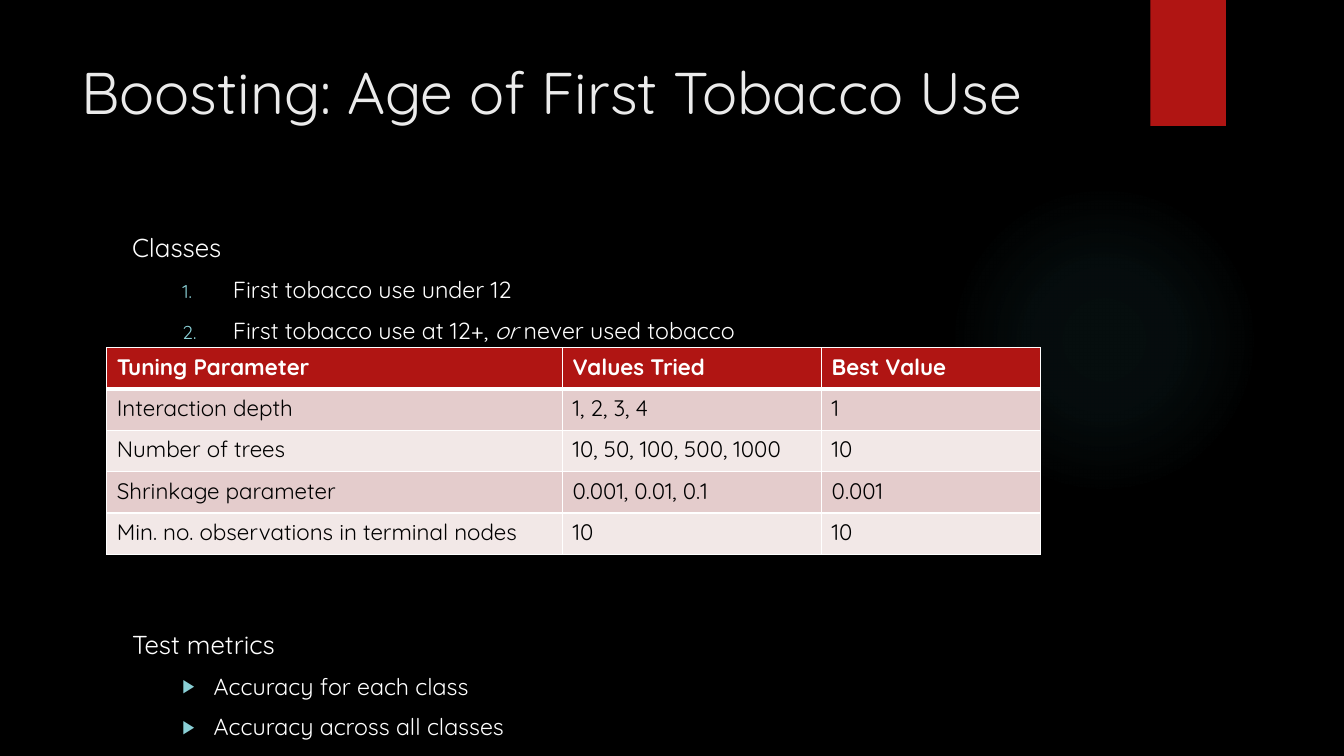
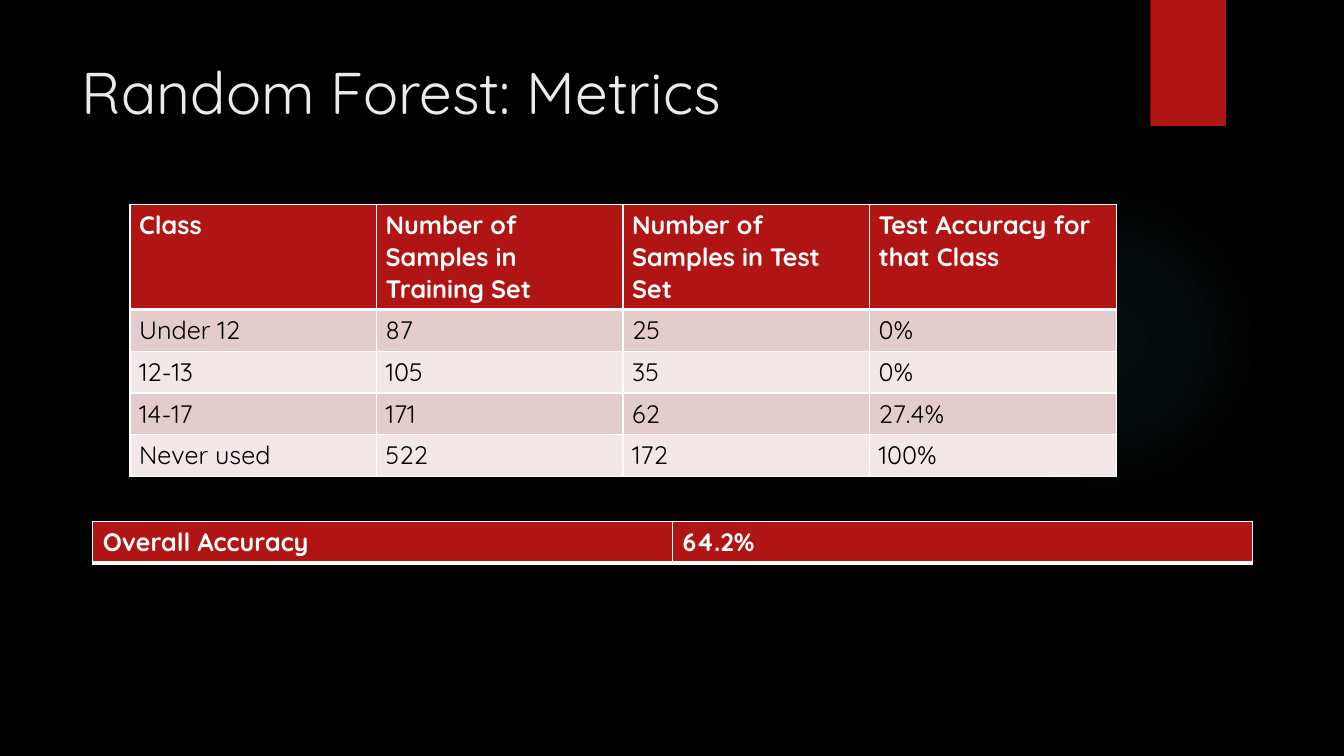
import dataclasses

import lxml.etree
import pptx
import pptx.dml.color
import pptx.enum.shapes
import pptx.enum.text
import pptx.oxml
import pptx.oxml.ns
import pptx.util

Inches = pptx.util.Inches
Pt = pptx.util.Pt
qn = pptx.oxml.ns.qn


@dataclasses.dataclass(frozen=True)
class Theme:
    font: str = "Quicksand"
    background: str = "000000"
    accent: str = "B01513"
    glow: str = "50B9C1"
    bullet: str = "8AD0D6"
    title: str = "EBEBEB"
    light: str = "FFFFFF"
    dark: str = "000000"
    stripes: tuple = ("E4CCCC", "F2E8E7")
    title_size: float = 42
    heading_size: float = 18.5
    item_size: float = 16.6
    small_table_size: float = 16
    table_size: float = 18
    paragraph_gap: float = 9
    table_gap: float = 203
    row_height: float = 0.41
    thin_border: float = 1
    thick_border: float = 3


THEME = Theme()
TITLE_BOX = (0.71, 0.5, 10.29, 1.53)
GLOW_BOX = (9.41, 1.83, 3.08, 3.08)
BAND_BOX = (11.41, 0, 0.75, 1.25)
NUMBER = "number"
ARROW = "arrow"


def color(value):
    return pptx.dml.color.RGBColor.from_string(value)


def add_element(parent, tag, **attributes):
    element = lxml.etree.SubElement(parent, qn(tag))
    for name, value in attributes.items():
        element.set(name, str(value))
    return element


def style_paragraph(para, size, text_color, bold=False):
    para.font.name = THEME.font
    para.font.size = Pt(size)
    para.font.bold = bold
    para.font.color.rgb = color(text_color)


def place(shape, box):
    shape.left, shape.top, shape.width, shape.height = map(Inches, box)


def add_plain_shape(page, kind, box, fill):
    shape = page.shapes.add_shape(kind, *map(Inches, box))
    shape.shadow.inherit = False
    shape.line.fill.background()
    shape.fill.solid()
    shape.fill.fore_color.rgb = color(fill)
    return shape


def make_glow(shape):
    """Replace the solid fill with a radial one that fades outwards."""
    solid = shape._element.spPr.find(qn("a:solidFill"))
    gradient = pptx.oxml.parse_xml(
        '<a:gradFill %s rotWithShape="1"/>' % pptx.oxml.ns.nsdecls("a"))
    stops = add_element(gradient, "a:gsLst")
    for position, opacity in ((0, 7), (36, 6), (69, 0)):
        stop = add_element(stops, "a:gs", pos=position * 1000)
        tint = add_element(stop, "a:srgbClr", val=THEME.glow)
        add_element(tint, "a:alpha", val=opacity * 1000)
    circle = add_element(gradient, "a:path", path="circle")
    add_element(circle, "a:fillToRect", l=50000, t=50000, r=50000, b=50000)
    solid.getparent().replace(solid, gradient)


def decorate_master(deck, page):
    """Draw the shared decoration on a page, then move it to the master."""
    master = deck.slide_master
    master.background.fill.solid()
    master.background.fill.fore_color.rgb = color(THEME.background)
    kinds = pptx.enum.shapes.MSO_SHAPE
    glow = add_plain_shape(page, kinds.OVAL, GLOW_BOX, THEME.glow)
    make_glow(glow)
    band = add_plain_shape(page, kinds.RECTANGLE, BAND_BOX, THEME.accent)
    for offset, shape in enumerate((glow, band)):
        master.shapes._spTree.insert(2 + offset, shape._element)


def prepare_frame(placeholder, box):
    place(placeholder, box)
    frame = placeholder.text_frame
    frame.word_wrap = True
    frame.auto_size = pptx.enum.text.MSO_AUTO_SIZE.NONE
    frame.vertical_anchor = pptx.enum.text.MSO_ANCHOR.TOP
    return frame


def add_title(page, text):
    frame = prepare_frame(page.shapes.title, TITLE_BOX)
    frame.text = text
    para = frame.paragraphs[0]
    para.alignment = pptx.enum.text.PP_ALIGN.LEFT
    style_paragraph(para, THEME.title_size, THEME.title)


def set_bullet(para, bullet, margin, hanging):
    properties = para._p.get_or_add_pPr()
    properties.set("marL", str(Inches(margin)))
    properties.set("indent", str(Inches(-hanging)))
    if bullet is None:
        add_element(properties, "a:buNone")
        return
    tint = add_element(properties, "a:buClr")
    add_element(tint, "a:srgbClr", val=THEME.bullet)
    add_element(properties, "a:buSzPct", val=80000)
    add_element(properties, "a:buFont", typeface=THEME.font)
    if bullet == NUMBER:
        add_element(properties, "a:buAutoNum", type="arabicPeriod")
    else:
        add_element(properties, "a:buChar", char="▶")


def add_outline(page, box, sections):
    """Fill the body with (heading, space before, bullet, items) sections.

    An item is a list of (text, italic) spans.
    """
    frame = prepare_frame(page.placeholders[1], box)
    indents = {NUMBER: (1, 0.5), ARROW: (0.81, 0.31)}
    para = frame.paragraphs[0]
    for index, (heading, gap, bullet, items) in enumerate(sections):
        if index:
            para = frame.add_paragraph()
        para.text = heading
        set_bullet(para, None, 0, 0)
        style_paragraph(para, THEME.heading_size, THEME.light)
        para.space_before = Pt(gap)
        for item in items:
            para = frame.add_paragraph()
            para.level = 1
            set_bullet(para, bullet, *indents[bullet])
            style_paragraph(para, THEME.item_size, THEME.light)
            para.space_before = Pt(THEME.paragraph_gap)
            for text, italic in item:
                span = para.add_run()
                span.text = text
                if italic:
                    span.font.italic = True


def set_borders(cell, top, bottom):
    properties = cell._tc.get_or_add_tcPr()
    thin = THEME.thin_border
    sides = (("a:lnL", thin), ("a:lnR", thin), ("a:lnT", top), ("a:lnB", bottom))
    for position, (tag, width) in enumerate(sides):
        line = add_element(properties, tag, w=Pt(width))
        add_element(add_element(line, "a:solidFill"), "a:srgbClr", val=THEME.light)
        properties.insert(position, line)


def add_striped_table(page, left, top, columns, rows, size,
                      header_height=THEME.row_height, side_inset=0.1):
    heights = [header_height] + [THEME.row_height] * (len(rows) - 1)
    box = (left, top, sum(columns), sum(heights))
    table = page.shapes.add_table(
        len(rows), len(columns), *map(Inches, box)).table
    table.horz_banding = False
    for column, width in zip(table.columns, columns):
        column.width = Inches(width)
    for index, (row, height, texts) in enumerate(zip(table.rows, heights, rows)):
        row.height = Inches(height)
        header = index == 0
        fill = THEME.accent if header else THEME.stripes[(index - 1) % 2]
        for cell, text in zip(row.cells, texts):
            cell.text = text
            cell.margin_left = cell.margin_right = Inches(side_inset)
            cell.fill.solid()
            cell.fill.fore_color.rgb = color(fill)
            style_paragraph(cell.text_frame.paragraphs[0], size,
                            THEME.light if header else THEME.dark, header)
            set_borders(cell,
                        THEME.thick_border if index == 1 else THEME.thin_border,
                        THEME.thick_border if header else THEME.thin_border)


def build_boosting(page):
    add_title(page, "Boosting: Age of First Tobacco Use")
    add_outline(page, (1.21, 2.25, 9.78, 4.59), [
        ("Classes", 0, NUMBER, [
            [("First tobacco use under 12", False)],
            [("First tobacco use at 12+, ", False), ("or", True),
             (" never used tobacco", False)],
        ]),
        ("Test metrics", THEME.table_gap, ARROW, [
            [("Accuracy for each class", False)],
            [("Accuracy across all classes", False)],
        ]),
    ])
    add_striped_table(page, 1.06, 3.45, (4.52, 2.57, 2.17), [
        ("Tuning Parameter", "Values Tried", "Best Value"),
        ("Interaction depth", "1, 2, 3, 4", "1"),
        ("Number of trees", "10, 50, 100, 500, 1000", "10"),
        ("Shrinkage parameter", "0.001, 0.01, 0.1", "0.001"),
        ("Min. no. observations in terminal nodes", "10", "10"),
    ], THEME.small_table_size)


def build_metrics(page):
    add_title(page, "Random Forest: Metrics")
    add_striped_table(page, 1.29, 2.03, (9.78 / 4,) * 4, [
        ("Class", "Number of Samples in Training Set",
         "Number of Samples in Test Set", "Test Accuracy for that Class"),
        ("Under 12", "87", "25", "0%"),
        ("12-13", "105", "35", "0%"),
        ("14-17", "171", "62", "27.4%"),
        ("Never used", "522", "172", "100%"),
    ], THEME.table_size, header_height=1.03, side_inset=0.09)
    add_striped_table(page, 0.92, 5.17, (5.75, 5.75),
                      [("Overall Accuracy", "64.2%")], THEME.table_size)


def main():
    deck = pptx.Presentation()
    deck.slide_width, deck.slide_height = Inches(13.33), Inches(7.5)
    layouts = deck.slide_layouts
    boosting = deck.slides.add_slide(layouts.get_by_name("Title and Content"))
    metrics = deck.slides.add_slide(layouts.get_by_name("Title Only"))
    decorate_master(deck, boosting)
    build_boosting(boosting)
    build_metrics(metrics)
    deck.save("out.pptx")


if __name__ == "__main__":
    main()
